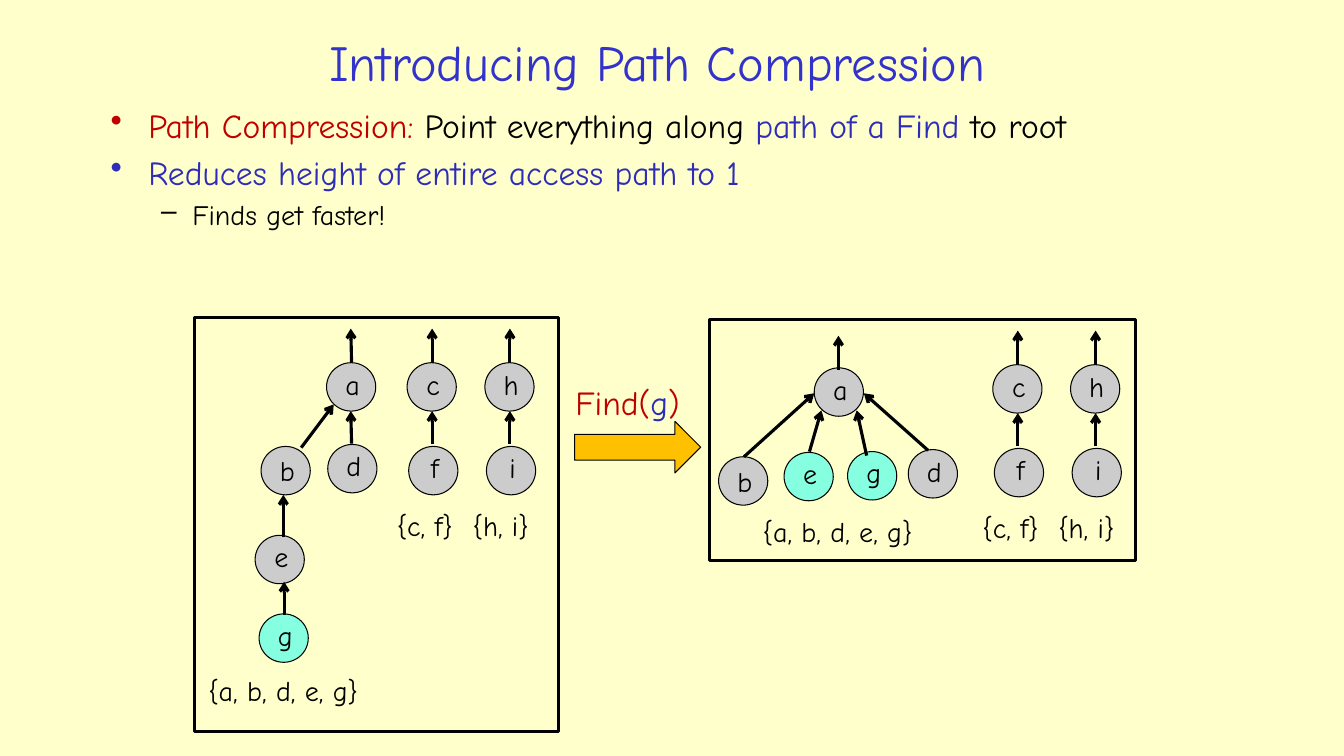
import dataclasses
import typing

import pptx
import pptx.dml.color
import pptx.enum.shapes
import pptx.enum.text
import pptx.util
from lxml import etree
from pptx.oxml.ns import qn

Cm = pptx.util.Cm
Pt = pptx.util.Pt
Kind = pptx.enum.shapes.MSO_SHAPE
Align = pptx.enum.text.PP_ALIGN
Anchor = pptx.enum.text.MSO_ANCHOR

HUES = {
    "page": "FFFFCC", "title": "3333CC", "red": "C00000", "blue": "2D2DB9",
    "black": "000000", "grey": "CCCCCC", "mint": "85FFE0", "gold": "FFC000",
}
FACE = "Comic Neue"
WIDE, HIGH = 1.24, 1.22  # node size in cm
SHIFT = (14.76, 0.05)  # from the left pair of trees to the right pair

Runs = list[tuple[str, str]]


@dataclasses.dataclass(frozen=True)
class Box:
    x: float
    y: float
    w: float
    h: float

    def sides(self) -> list[int]:
        return [Cm(n) for n in (self.x, self.y, self.w, self.h)]


@dataclasses.dataclass(frozen=True)
class Node:
    name: str
    x: float
    y: float
    hue: str = "grey"
    low: float = 0.15  # bottom inset, lifts the letter


@dataclasses.dataclass(frozen=True)
class Link:
    x1: float
    y1: float
    x2: float
    y2: float


@dataclasses.dataclass(frozen=True)
class Label:
    runs: Runs
    box: Box
    size: int = 20


@dataclasses.dataclass(frozen=True)
class Point:
    runs: Runs
    size: int
    mark: str
    left: float
    hang: float
    level: int = 0


def tint(name: str) -> pptx.dml.color.RGBColor:
    return pptx.dml.color.RGBColor.from_string(HUES[name])


def style(item: typing.Any, form: dict[str, typing.Any]) -> None:
    for key, value in form.items():
        setattr(item, key, value)


def write(para: typing.Any, runs: Runs, size: int) -> None:
    for text, hue in runs:
        run = para.add_run()
        run.text = text
        style(run.font, {"name": FACE, "size": Pt(size)})
        run.font.color.rgb = tint(hue)


def draw_shape(slide: typing.Any, kind: Kind, box: Box, fill: str | None, line: float) -> typing.Any:
    shape = slide.shapes.add_shape(kind, *box.sides())
    shape.shadow.inherit = False
    if fill:
        shape.fill.solid()
        shape.fill.fore_color.rgb = tint(fill)
    else:
        shape.fill.background()
    shape.line.color.rgb = tint("black")
    shape.line.width = Pt(line)
    return shape


def draw_node(slide: typing.Any, node: Node) -> None:
    box = Box(node.x, node.y, WIDE, HIGH)
    frame = draw_shape(slide, Kind.OVAL, box, node.hue, 0.75).text_frame
    style(frame, {
        "margin_left": Cm(0.08), "margin_right": 0, "margin_top": 0,
        "margin_bottom": Cm(node.low), "word_wrap": False,
        "vertical_anchor": Anchor.MIDDLE,
    })
    para = frame.paragraphs[0]
    para.alignment = Align.CENTER
    write(para, [(node.name, "black")], 20)


def draw_link(slide: typing.Any, link: Link) -> None:
    ends = [Cm(n) for n in dataclasses.astuple(link)]
    line = slide.shapes.add_connector(pptx.enum.shapes.MSO_CONNECTOR.STRAIGHT, *ends)
    line.line.color.rgb = tint("black")
    line.line.width = Pt(2.25)
    props = line._element.spPr
    etree.SubElement(props.find(qn("a:ln")), qn("a:tailEnd"), type="arrow")
    etree.SubElement(props, qn("a:effectLst"))


def draw_label(slide: typing.Any, label: Label) -> typing.Any:
    frame = slide.shapes.add_textbox(*label.box.sides()).text_frame
    frame.word_wrap = False
    write(frame.paragraphs[0], label.runs, label.size)
    return frame


def draw_points(slide: typing.Any, box: Box, points: list[Point]) -> None:
    frame = slide.shapes.add_textbox(*box.sides()).text_frame
    frame.word_wrap = True
    for rank, point in enumerate(points):
        para = frame.add_paragraph() if rank else frame.paragraphs[0]
        props = para._p.get_or_add_pPr()
        props.set("marL", str(Cm(point.left)))
        props.set("indent", str(-Cm(point.hang)))
        etree.SubElement(props, qn("a:buChar"), char=point.mark)
        para.level = point.level
        if rank:
            para.space_before = Pt(0.2 * point.size)
        write(para, point.runs, point.size)


def draw_pairs(slide: typing.Any, dx: float, dy: float) -> None:
    """Draw the trees {c, f} and {h, i}, moved by dx and dy."""
    for top, leaf, x in (("c", "f", 10.26), ("h", "i", 12.22)):
        draw_node(slide, Node(top, x + dx, 9.14 + dy))
        draw_node(slide, Node(leaf, x + 0.04 + dx, 11.25 + dy))
        mid = x + 0.63 + dx
        for start, end in ((11.2, 10.36), (9.14, 8.28)):
            draw_link(slide, Link(mid, start + dy, mid, end + dy))
    for text, x, w in (("{c, f}", 9.75, 2.18), ("{h, i}", 11.66, 2.06)):
        draw_label(slide, Label([(text, "black")], Box(x + dx, 12.68 + dy, w, 1.12)))


TITLE = Label([("Introducing Path Compression", "title")], Box(5.18, 0.66, 22.76, 1.75), 36)
POINTS = [
    Point([("Path Compression: ", "red"), ("Point everything along ", "black"),
           ("path of a Find", "blue"), (" to root", "black")], 24, "•", 0.95, 0.95),
    Point([("Reduces height of entire access path to 1", "blue")], 24, "•", 0.95, 0.95),
    Point([("Finds get faster!", "black")], 20, "–", 2.06, 0.79, 1),
]
NODES = [
    Node("a", 8.23, 9.14), Node("b", 6.58, 11.25, low=0), Node("d", 8.26, 11.2),
    Node("e", 6.43, 13.49), Node("g", 6.53, 15.47, "mint"),
    Node("a", 20.52, 9.27), Node("b", 18.11, 11.51, low=0), Node("d", 22.89, 11.33),
    Node("e", 19.76, 11.4, "mint"), Node("g", 21.36, 11.38, "mint"),
]
LINKS = [
    Link(7.59, 11.28, 8.41, 10.19), Link(8.86, 11.18, 8.84, 10.36),
    Link(7.14, 13.54, 7.14, 12.47), Link(7.16, 15.49, 7.16, 14.66),
    Link(8.86, 9.14, 8.84, 8.28),
    Link(18.75, 11.51, 20.52, 9.91), Link(23.39, 11.35, 21.77, 9.91),
    Link(20.4, 11.38, 20.7, 10.34), Link(21.84, 11.48, 21.59, 10.34),
    Link(21.13, 9.32, 21.13, 8.46),
]
LABELS = [
    Label([("{a, b, d, e, g}", "black")], Box(5, 16.84, 4.65, 1.12)),
    Label([("{a, b, d, e, g}", "black")], Box(18.97, 12.83, 4.65, 1.12)),
    Label([("Find(", "red"), ("g", "blue"), (")", "red")], Box(14.25, 9.5, 3.3, 1.3), 24),
]
PANELS = [Box(4.9, 8, 9.17, 10.44), Box(17.88, 8.05, 10.74, 6.07)]


def main() -> None:
    deck = pptx.Presentation()
    style(deck, {"slide_width": Cm(33.87), "slide_height": Cm(19.05)})
    slide = deck.slides.add_slide(deck.slide_layouts[6])
    slide.background.fill.solid()
    slide.background.fill.fore_color.rgb = tint("page")

    head = draw_label(slide, TITLE)
    style(head, {"word_wrap": True, "vertical_anchor": Anchor.MIDDLE})
    head.paragraphs[0].alignment = Align.CENTER
    draw_points(slide, Box(2.54, 2.51, 28.45, 4.47), POINTS)

    for panel in PANELS:
        draw_shape(slide, Kind.RECTANGLE, panel, None, 2.25)
    for node in NODES:
        draw_node(slide, node)
    for link in LINKS:
        draw_link(slide, link)
    for shift in ((0, 0), SHIFT):
        draw_pairs(slide, *shift)
    for label in LABELS:
        draw_label(slide, label)
    draw_shape(slide, Kind.RIGHT_ARROW, Box(14.48, 10.62, 3.18, 1.3), "gold", 0.75)
    deck.save("out.pptx")


if __name__ == "__main__":
    main()
